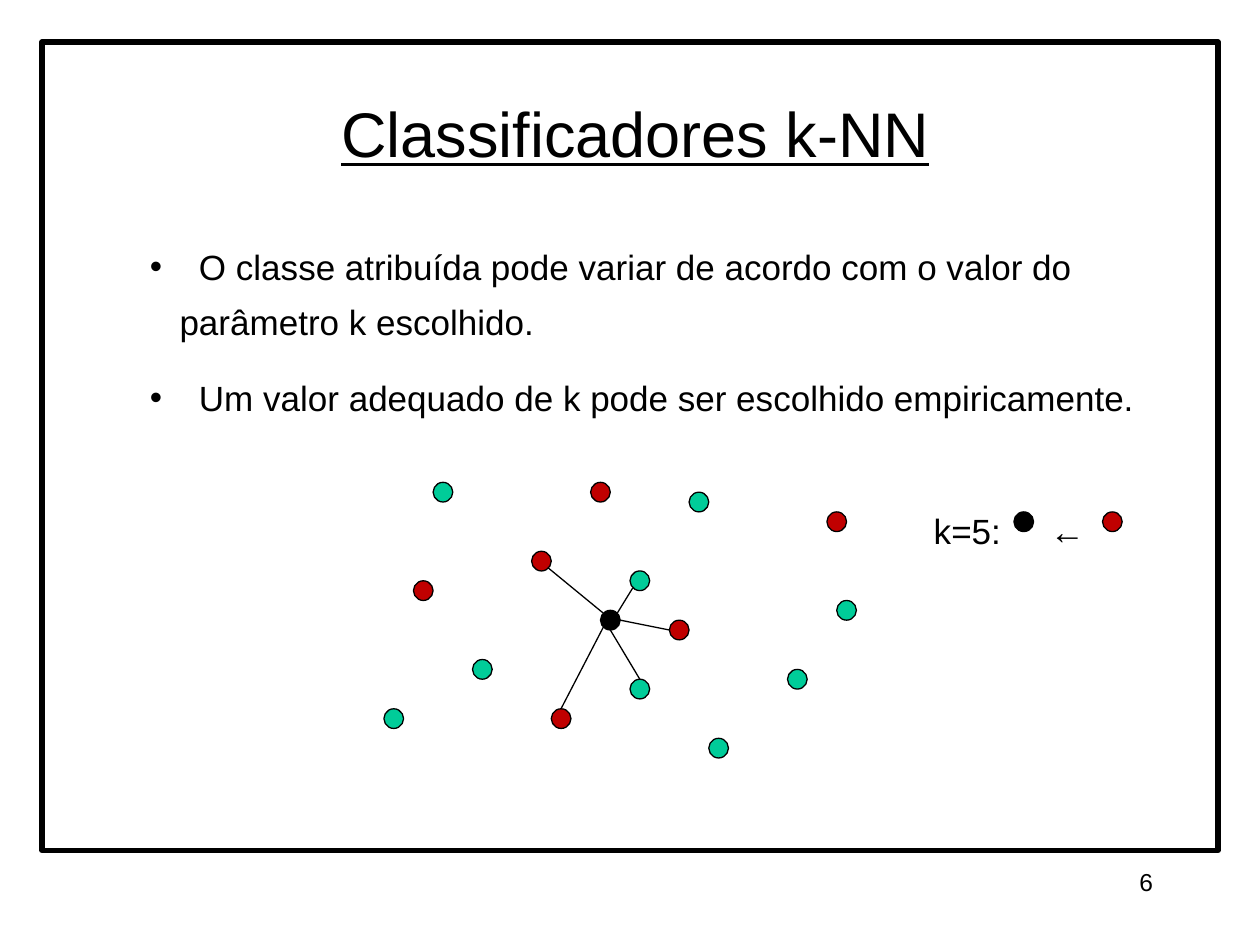
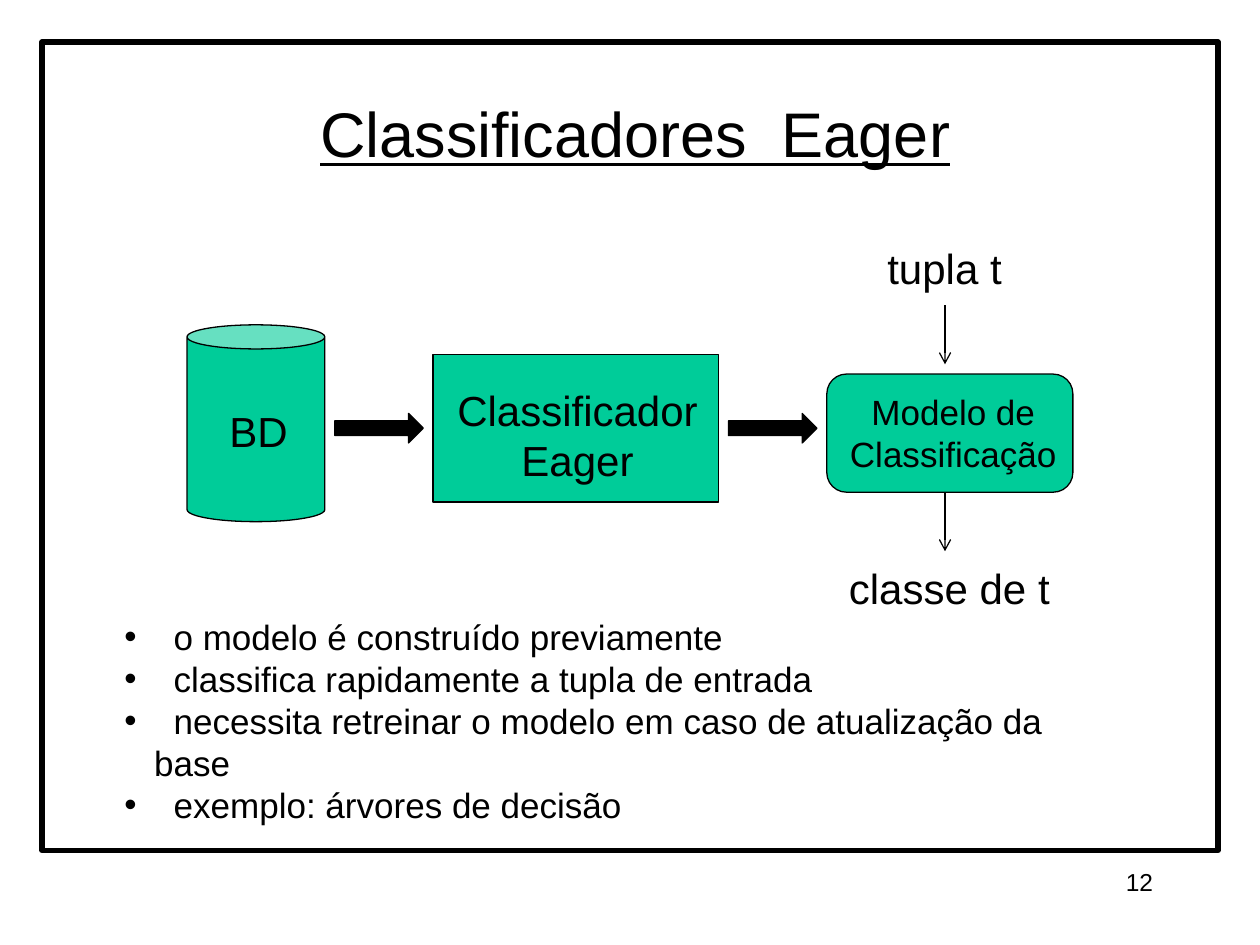
from lxml import etree
from pptx import Presentation
from pptx.dml.color import RGBColor
from pptx.enum import shapes, text
from pptx.oxml.ns import qn
from pptx.util import Pt

BLACK, RED, GREEN = "000000", "C00000", "00CC99"
SHAPE, ALIGN, ANCHOR = shapes.MSO_SHAPE, text.PP_ALIGN, text.MSO_ANCHOR
CELL = 45 / 8  # step of the grid the dots sit on; a dot is two cells wide
HANG = 17      # hanging indent of bullets


def colour(value):
    return RGBColor.from_string(value)


def apply(target, formats):
    for name, value in formats.items():
        setattr(target, name, value)


class Lecture:
    """Holds the shared style and the current slide."""

    font = {"name": "Arial", "size": Pt(20)}

    def __init__(self):
        self.deck = Presentation()
        apply(self.deck, {"slide_width": Pt(720), "slide_height": Pt(540)})
        self.page = None

    def add_page(self, title, number):
        self.page = self.deck.slides.add_slide(self.deck.slide_layouts[6])
        self.text(36, 41, 654, 60, [title], wrap=True, anchor=ANCHOR.BOTTOM,
                  align=ALIGN.CENTER, size=Pt(36), underline=True)
        self.shape(SHAPE.RECTANGLE, 24, 24, 672, 462, None, weight=3)
        self.text(516, 492, 150, 36, [number], wrap=True,
                  align=ALIGN.RIGHT, size=Pt(14))

    def text(self, left, top, width, height, lines, wrap=False, bullets=False,
             anchor=ANCHOR.TOP, align=ALIGN.LEFT, spacing=None, **font):
        box = self.page.shapes.add_textbox(Pt(left), Pt(top), Pt(width), Pt(height))
        frame = box.text_frame
        apply(frame, {"word_wrap": wrap, "vertical_anchor": anchor})
        for index, line in enumerate(lines):
            para = frame.paragraphs[0] if index == 0 else frame.add_paragraph()
            apply(para, {"alignment": align, **(spacing or {})})
            if bullets:
                self.bullet(para)
            span = para.add_run()
            span.text = line
            apply(span.font, {**self.font, **font})
            span.font.color.rgb = colour(BLACK)

    def bullet(self, para):
        props = para._p.get_or_add_pPr()
        props.set("marL", str(Pt(HANG)))
        props.set("indent", str(-Pt(HANG)))
        tint = etree.SubElement(props, qn("a:buClr"))
        etree.SubElement(tint, qn("a:srgbClr"), val=BLACK)
        etree.SubElement(props, qn("a:buFont"), typeface="Arial")
        etree.SubElement(props, qn("a:buChar"), char="•")

    def shape(self, kind, left, top, width, height, fill, weight=0.75, adjust=None):
        item = self.page.shapes.add_shape(kind, Pt(left), Pt(top), Pt(width), Pt(height))
        item.shadow.inherit = False
        if fill:
            item.fill.solid()
            item.fill.fore_color.rgb = colour(fill)
        else:
            item.fill.background()
        item.line.color.rgb = colour(BLACK)
        item.line.width = Pt(weight)
        if adjust is not None:
            item.adjustments[0] = adjust

    def dots(self, fill, cells):
        for column, row in cells:
            self.shape(SHAPE.OVAL, column * CELL, row * CELL, 2 * CELL, 2 * CELL, fill)

    def line(self, x1, y1, x2, y2, arrow=False):
        link = self.page.shapes.add_connector(
            shapes.MSO_CONNECTOR.STRAIGHT, Pt(x1), Pt(y1), Pt(x2), Pt(y2))
        link.line.color.rgb = colour(BLACK)
        link.line.width = Pt(0.75)
        if arrow:
            etree.SubElement(link.line._get_or_add_ln(), qn("a:tailEnd"), type="arrow")
        etree.SubElement(link._element.spPr, qn("a:effectLst"))


def neighbours_page(lecture):
    lecture.add_page("Classificadores k-NN", "6")
    lecture.text(78.5, 129.6, 585.5, 120, [
        "  O classe atribuída pode variar de acordo com o valor do parâmetro k escolhido.",
        "  Um valor adequado de k pode ser escolhido empiricamente.",
    ], wrap=True, bullets=True, spacing={"line_spacing": 1.3, "space_before": Pt(12.5)})

    # Labelled points around the unknown one
    lecture.dots(RED, [(54, 56), (60, 49), (68, 63), (84, 52), (42, 59), (56, 72)])
    lecture.dots(GREEN, [(70, 50), (64, 58), (64, 69), (80, 68), (48, 67),
                         (72, 75), (85, 61), (44, 49), (39, 72)])
    lecture.dots(BLACK, [(61, 62)])

    # Links to the five nearest neighbours, in grid cells
    for link in [(62.7, 62.3, 64.3, 59.7), (63, 63, 68, 64), (62, 64, 65, 69),
                 (61.3, 62.3, 55.7, 57.7), (61.3, 63.7, 57, 72)]:
        lecture.line(*(value * CELL for value in link))

    # Result: the unknown point becomes red
    lecture.text(526.5, 287.4, 53, 30, ["k=5:"])
    lecture.dots(BLACK, [(103, 52)])
    lecture.text(592.8, 287.4, 34.4, 30, ["←"])
    lecture.dots(RED, [(112, 52)])


def eager_page(lecture):
    lecture.add_page("Classificadores  Eager", "12")

    # Flow from database to model
    lecture.shape(SHAPE.CAN, 106.9, 185.6, 78.75, 112.5, GREEN, adjust=0.175)
    lecture.shape(SHAPE.RECTANGLE, 247.5, 202.5, 163.1, 84.4, GREEN)
    lecture.shape(SHAPE.ROUNDED_RECTANGLE, 472.5, 213.75, 140.6, 67.5, GREEN)
    for left in (191.25, 416.25):
        lecture.shape(SHAPE.RIGHT_ARROW, left, 236.25, 50.6, 16.9, BLACK)
    for top in (174.4, 281.25):
        lecture.line(540, top, 540, top + 33.75, arrow=True)

    # Labels
    for left, top, width, height, lines, size in [
        (500, 135, 80, 36, ["tupla t"], 24),
        (478, 318, 129, 36, ["classe de t"], 24),
        (124, 228.3, 47.5, 36, ["BD"], 24),
        (254, 216, 152, 65, ["Classificador", "Eager"], 24),
        (478.5, 219.5, 132.5, 55.5, ["Modelo de", "Classificação"], 20),
    ]:
        align = ALIGN.CENTER if len(lines) > 1 else ALIGN.LEFT
        lecture.text(left, top, width, height, lines, align=align, size=Pt(size))

    lecture.text(64, 348, 578, 104, [
        "  o modelo é construído previamente",
        "  classifica rapidamente a tupla de entrada",
        "  necessita retreinar o modelo em caso de atualização da base",
        "  exemplo: árvores de decisão",
    ], wrap=True, bullets=True)


def main():
    lecture = Lecture()
    neighbours_page(lecture)
    eager_page(lecture)
    lecture.deck.save("out.pptx")


if __name__ == "__main__":
    main()
